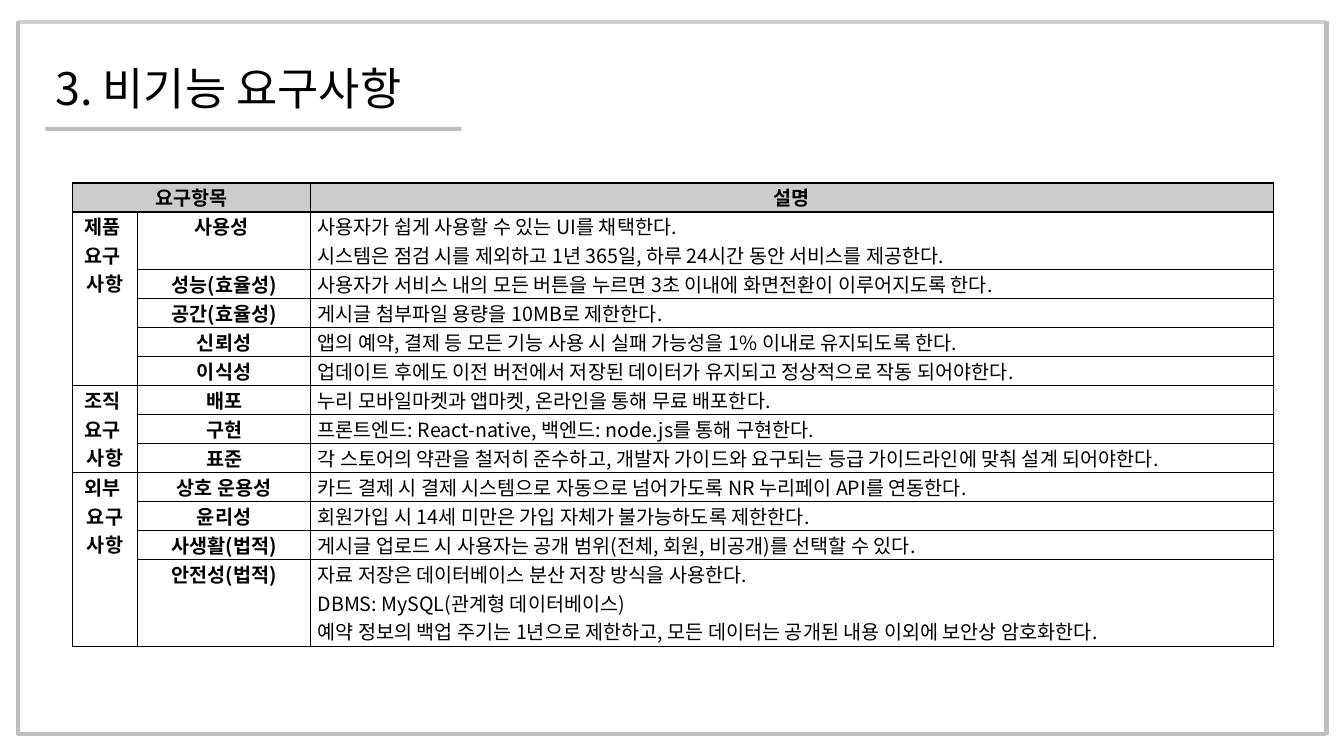
from pptx import Presentation
from pptx.util import Pt
from pptx.dml.color import RGBColor as RGB
from pptx.enum.shapes import MSO_CONNECTOR as LINK, MSO_SHAPE as SHAPE
from pptx.enum.text import MSO_ANCHOR as ANCHOR, PP_ALIGN as ALIGN
from pptx.oxml import parse_xml
from pptx.oxml.ns import nsdecls
from lxml.etree import SubElement as sub

FONT = "Noto Sans CJK KR"
HUES = {"ink": "000000", "paper": "FFFFFF", "rule": "BFBFBF",
        "top": "D0CECE", "head": "CCCCCC"}
A = "{http://schemas.openxmlformats.org/drawingml/2006/main}"


def write(para, text, size, bold=False, align=ALIGN.LEFT):
    para.alignment = align
    run = para.add_run()
    run.text = text
    font = run.font
    font.name, font.size, font.bold = FONT, Pt(size), bold
    font.color.rgb = RGB.from_string(HUES["ink"])
    sub(font._element, A + "ea", typeface=FONT)


def fill_cell(cell, lines, hue, bold, align):
    cell.margin_left = cell.margin_right = Pt(5)
    cell.margin_top = cell.margin_bottom = 0
    cell.fill.solid()
    cell.fill.fore_color.rgb = RGB.from_string(HUES[hue])
    # Borders come before the fill
    props = cell._tc.get_or_add_tcPr()
    for spot, side in enumerate("LRTB"):
        props.insert(spot, parse_xml(
            f'<a:ln{side} {nsdecls("a")} w="12700"><a:solidFill>'
            f'<a:srgbClr val="{HUES["ink"]}"/></a:solidFill></a:ln{side}>'))
    frame = cell.text_frame
    for i, text in enumerate(lines):
        para = frame.add_paragraph() if i else frame.paragraphs[0]
        write(para, text, 14, bold, align)


deck = Presentation()
deck.slide_width, deck.slide_height = Pt(960), Pt(540)
slide = deck.slides.add_slide(deck.slide_layouts[6])
shapes = slide.shapes

# Frame around the slide
for x1, y1, x2, y2, hue in [
        (13, 15.8, 947.5, 15.8, "top"), (13, 15.1, 13, 524.9, "rule"),
        (947.5, 15.1, 947.5, 524.9, "rule"), (12.2, 524.2, 946.8, 524.2, "rule")]:
    edge = shapes.add_connector(LINK.STRAIGHT, Pt(x1), Pt(y1), Pt(x2), Pt(y2))
    edge.line.width = Pt(3)
    edge.line.color.rgb = RGB.from_string(HUES[hue])
    sub(edge._element.spPr, A + "effectLst")

# Title and its bar
box = shapes.add_textbox(Pt(32.4), Pt(35.3), Pt(895.7), Pt(59.8))
frame = box.text_frame
frame.word_wrap = True
frame.vertical_anchor = ANCHOR.MIDDLE
title = frame.paragraphs[0]
title.line_spacing = 0.9
write(title, "3. 비기능 요구사항", 32)

bar = shapes.add_shape(SHAPE.RECTANGLE, Pt(32.4), Pt(90.7), Pt(297.4), Pt(2.9))
bar.shadow.inherit = False
bar.fill.solid()
bar.fill.fore_color.rgb = RGB.from_string(HUES["rule"])
bar.line.fill.background()

# Requirements: group, then (item, description lines)
groups = [
    (["제품 ", "요구 ", "사항"], [
        ("사용성 ", ["사용자가 쉽게 사용할 수 있는 UI를 채택한다.",
                  "시스템은 점검 시를 제외하고 1년 365일, 하루 24시간 동안 서비스를 제공한다."]),
        ("성능(효율성)", ["사용자가 서비스 내의 모든 버튼을 누르면 3초 이내에 화면전환이 이루어지도록 한다."]),
        ("공간(효율성)", ["게시글 첨부파일 용량을 10MB로 제한한다."]),
        ("신뢰성", ["앱의 예약, 결제 등 모든 기능 사용 시 실패 가능성을 1% 이내로 유지되도록 한다."]),
        ("이식성", ["업데이트 후에도 이전 버전에서 저장된 데이터가 유지되고 정상적으로 작동 되어야한다."])]),
    (["조직 ", "요구 ", "사항"], [
        ("배포", ["누리 모바일마켓과 앱마켓, 온라인을 통해 무료 배포한다."]),
        ("구현", ["프론트엔드: React-native, 백엔드: node.js를 통해 구현한다."]),
        ("표준", ["각 스토어의 약관을 철저히 준수하고, 개발자 가이드와 요구되는 등급 가이드라인에 맞춰 설계 되어야한다."])]),
    (["외부 ", "요구", "사항"], [
        ("상호 운용성", ["카드 결제 시 결제 시스템으로 자동으로 넘어가도록 NR 누리페이 API를 연동한다."]),
        ("윤리성", ["회원가입 시 14세 미만은 가입 자체가 불가능하도록 제한한다."]),
        ("사생활(법적)", ["게시글 업로드 시 사용자는 공개 범위(전체, 회원, 비공개)를 선택할 수 있다."]),
        ("안전성(법적)", ["자료 저장은 데이터베이스 분산 저장 방식을 사용한다.",
                     "DBMS: MySQL(관계형 데이터베이스)",
                     "예약 정보의 백업 주기는 1년으로 제한하고, 모든 데이터는 공개된 내용 이외에 보안상 암호화한다."])]),
]
rows = [(["요구항목"], [], ["설명"])]
for name, items in groups:
    for i, (item, lines) in enumerate(items):
        rows.append(([] if i else name, [item], lines))

# Table, one step of height per text line
STEP = 20.7
wide = [46.5, 123.6, 687.6]
high = [STEP * len(row[2]) for row in rows]
table = shapes.add_table(len(rows), 3, Pt(51.8), Pt(130.7),
                         Pt(sum(wide)), Pt(sum(high))).table
table.first_row = table.horz_banding = False
for col, width in zip(table.columns, wide):
    col.width = Pt(width)
for r, row in enumerate(rows):
    table.rows[r].height = Pt(high[r])
    for c, lines in enumerate(row):
        body = r > 0 and c == 2
        fill_cell(table.cell(r, c), lines, "paper" if r else "head",
                  not body, ALIGN.JUSTIFY if body else ALIGN.CENTER)

# Merged heading and group cells
table.cell(0, 0).merge(table.cell(0, 1))
top = 1
for name, items in groups:
    end = top + len(items)
    table.cell(top, 0).merge(table.cell(end - 1, 0))
    top = end

deck.save("out.pptx")
